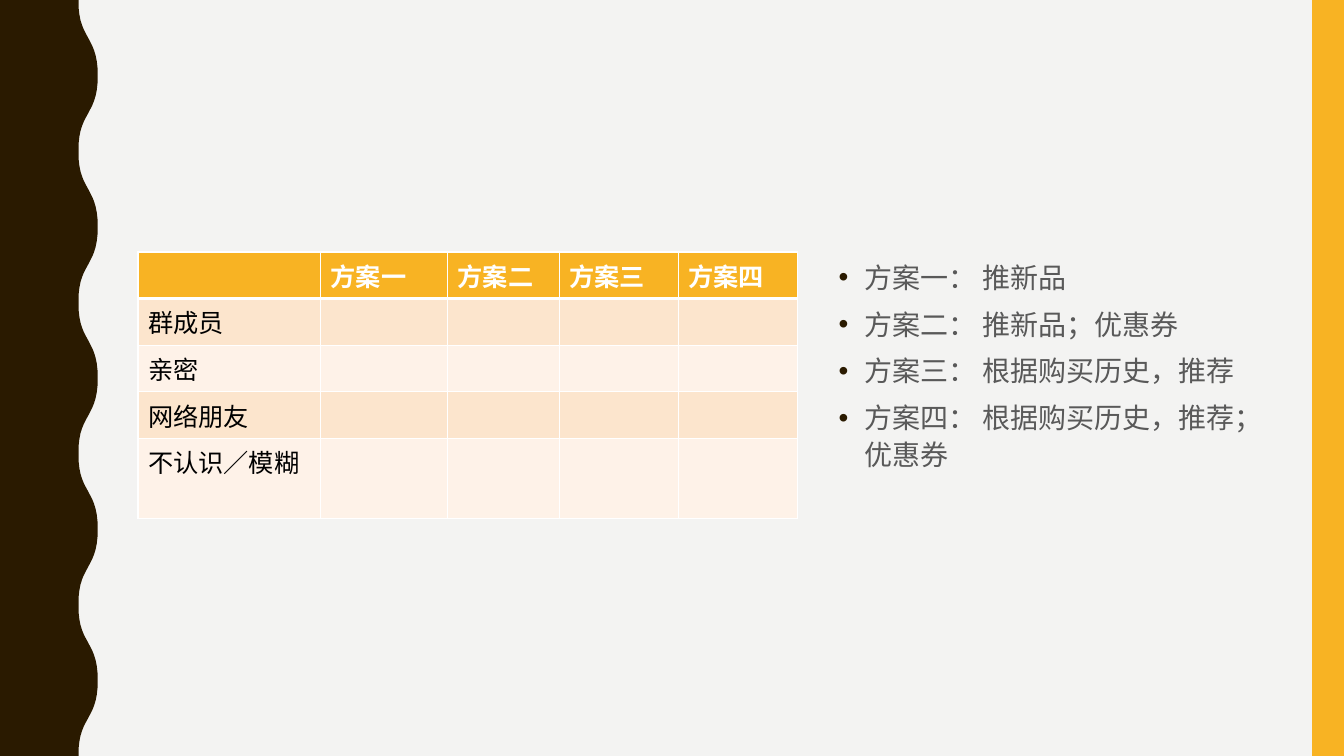
from dataclasses import dataclass

from lxml import etree
from pptx import Presentation
from pptx.dml.color import RGBColor
from pptx.enum import shapes, text
from pptx.oxml.ns import qn
from pptx.util import Cm, Pt


@dataclass(frozen=True)
class Theme:
    font: str = "Cabin"
    background: str = "F3F3F2"
    dark: str = "2A1A00"
    accent: str = "F8B323"
    white: str = "FFFFFF"
    black: str = "000000"
    body_text: str = "595959"
    bands: tuple = ("FCE5CD", "FEF2E8")
    table_size: int = 18
    body_size: int = 20


def rgb(value):
    return RGBColor.from_string(value)


class SlideBuilder:
    def __init__(self, prs, theme):
        self.theme = theme
        self.slide = prs.slides.add_slide(prs.slide_layouts[1])
        self.slide.background.fill.solid()
        self.slide.background.fill.fore_color.rgb = rgb(theme.background)
        title = self.slide.shapes.title
        title.element.getparent().remove(title.element)

    def paint(self, sp, color):
        sp.shadow.inherit = False
        sp.fill.solid()
        sp.fill.fore_color.rgb = rgb(color)
        sp.line.fill.background()

    def format_runs(self, p, size, color, bold=False):
        for r in p.runs:
            r.font.name = self.theme.font
            r.font.size = Pt(size)
            r.font.bold = bold
            r.font.color.rgb = rgb(color)

    def bar(self, left, top, width, height):
        sp = self.slide.shapes.add_shape(
            shapes.MSO_SHAPE.RECTANGLE, Cm(left), Cm(top), Cm(width), Cm(height))
        self.paint(sp, self.theme.accent)

    def wavy_edge(self, height, waves):
        # A quarter wave as (x, y); the rest follows by symmetry
        quarter = [(1.98, 0), (1.98, 0.18), (2.0, 0.36), (2.03, 0.51),
                   (2.07, 0.64), (2.11, 0.74), (2.16, 0.84), (2.22, 0.95)]
        period = height / waves
        rise = quarter + [(4.44 - x, period / 2 - y) for x, y in quarter[-2::-1]]
        wave = rise + [(x, period - y) for x, y in rise[-2::-1]]
        edge = [(x, y + i * period) for i in range(waves) for x, y in wave]
        points = [(Cm(x), Cm(y)) for x, y in edge + [(0, height)]]
        builder = self.slide.shapes.build_freeform(0, 0)
        builder.add_line_segments(points, close=True)
        self.paint(builder.convert_to_shape(), self.theme.dark)

    def border(self, cell, side, width):
        ln = etree.SubElement(cell._tc.get_or_add_tcPr(), qn(f"a:ln{side}"), w=str(Pt(width)))
        fill = etree.SubElement(ln, qn("a:solidFill"))
        etree.SubElement(fill, qn("a:srgbClr"), val=self.theme.white)

    def table(self, left, top, widths, heights, rows):
        th = self.theme
        table = self.slide.shapes.add_table(
            len(heights), len(widths), Cm(left), Cm(top),
            Cm(sum(widths)), Cm(sum(heights))).table
        for column, width in zip(table.columns, widths):
            column.width = Cm(width)
        for i, (height, values) in enumerate(zip(heights, rows)):
            table.rows[i].height = Cm(height)
            header = i == 0
            for j in range(len(widths)):
                cell = table.cell(i, j)
                for side in "LRTB":
                    heavy = (i, side) in ((0, "B"), (1, "T"))
                    self.border(cell, side, 3 if heavy else 1)
                cell.fill.solid()
                cell.fill.fore_color.rgb = rgb(th.accent if header else th.bands[(i - 1) % 2])
                if j < len(values) and values[j]:
                    cell.text_frame.text = values[j]
                    self.format_runs(cell.text_frame.paragraphs[0], th.table_size,
                                     th.white if header else th.black, header)

    def bullets(self, left, top, width, height, items):
        th = self.theme
        sp = self.slide.placeholders[1]
        sp.left, sp.top, sp.width, sp.height = Cm(left), Cm(top), Cm(width), Cm(height)
        tf = sp.text_frame
        tf.word_wrap = True
        tf.auto_size = text.MSO_AUTO_SIZE.NONE
        tf.vertical_anchor = text.MSO_ANCHOR.TOP
        tf.text = "\n".join(items)
        for p in tf.paragraphs:
            p.line_spacing = 1.1
            p.space_before = Pt(7)
            self.format_runs(p, th.body_size, th.body_text)
            pPr = p._p.get_or_add_pPr()
            indent = Cm(0.64)
            pPr.set("marL", str(indent))
            pPr.set("indent", str(-indent))
            color = etree.SubElement(pPr, qn("a:buClr"))
            etree.SubElement(color, qn("a:srgbClr"), val=th.dark)
            etree.SubElement(pPr, qn("a:buFont"), typeface="Arial")
            etree.SubElement(pPr, qn("a:buChar"), char="•")


def main():
    prs = Presentation()
    prs.slide_width, prs.slide_height = Cm(33.87), Cm(19.05)
    s = SlideBuilder(prs, Theme())

    # Side decorations
    s.wavy_edge(19.05, 5)
    s.bar(33.07, 0, 0.8, 19.05)

    # Audience by plan
    s.table(3.48, 6.35, [4.6, 3.2, 2.82, 3, 3], [1.17] * 4 + [2.03], [
        ["", "方案一", "方案二", "方案三", "方案四"],
        ["群成员"],
        ["亲密"],
        ["网络朋友"],
        ["不认识／模糊"],
    ])

    # Plan descriptions
    s.bullets(20.88, 6.35, 10.87, 10.06, [
        "方案一： 推新品",
        "方案二： 推新品；优惠券",
        "方案三： 根据购买历史，推荐",
        "方案四： 根据购买历史，推荐；优惠券",
    ])

    prs.save("out.pptx")


if __name__ == "__main__":
    main()
